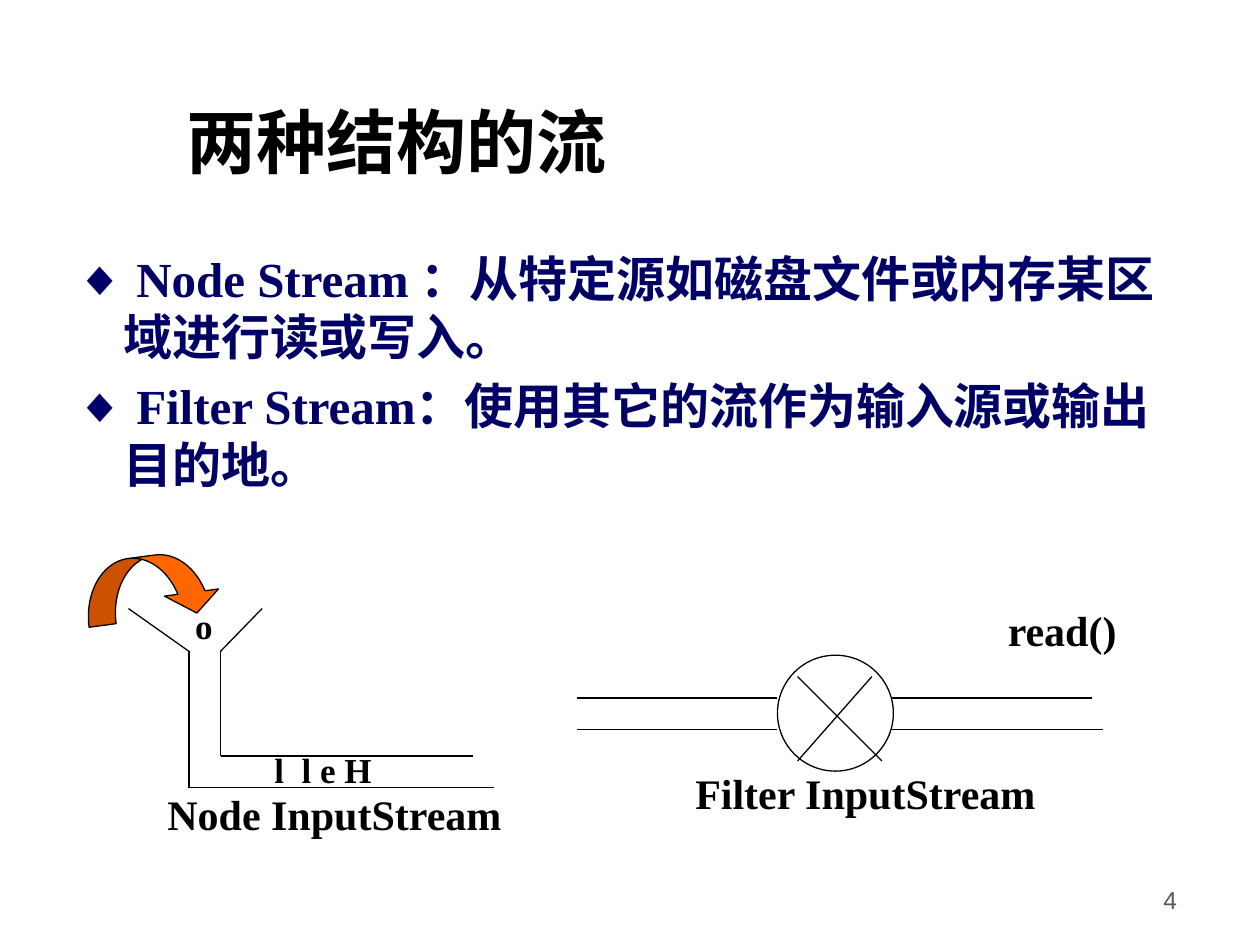
from lxml import etree
from pptx import Presentation
from pptx.dml.color import RGBColor
from pptx.enum.shapes import MSO_CONNECTOR, MSO_SHAPE
from pptx.enum.text import MSO_ANCHOR, MSO_AUTO_SIZE, PP_ALIGN
from pptx.oxml.ns import qn
from pptx.util import Inches, Pt

LINE = MSO_CONNECTOR.STRAIGHT
BEND, ROUND = MSO_SHAPE.CURVED_RIGHT_ARROW, MSO_SHAPE.OVAL
TOP, BASE = MSO_ANCHOR.TOP, MSO_ANCHOR.BOTTOM
LEFT, RIGHT = PP_ALIGN.LEFT, PP_ALIGN.RIGHT
FIXED = MSO_AUTO_SIZE.NONE

SERIF = "Times New Roman"
BLACK, NAVY, GREY = "000000", "000066", "5E574E"
ORANGE, WHITE = "FF6600", "FFFFFF"
HEAD = {"name": "Montserrat", "size": Pt(40), "bold": True}
BODY = {"name": SERIF, "size": Pt(28), "bold": True}
LABEL = {"name": SERIF, "size": Pt(24), "bold": True}
SMALL = {"name": SERIF, "size": Pt(20), "bold": True}
FOOT = {"name": "Arial", "size": Pt(14), "bold": False}


def color(code):
    """Turn a hex string into a colour."""
    return RGBColor.from_string(code)


def style(para, form, code):
    """Apply a dict of font values and a colour to a paragraph."""
    for key, value in form.items():
        setattr(para.font, key, value)
    para.font.color.rgb = color(code)


def place(shape, box):
    """Move and size a shape to a box given in inches."""
    for key, value in zip(("left", "top", "width", "height"), box):
        setattr(shape, key, Inches(value))


def write(shape, lines, form, code, wrap=True, anchor=TOP, align=LEFT):
    """Fill a shape with styled paragraphs."""
    frame = shape.text_frame
    values = {"text": "\n".join(lines), "word_wrap": wrap,
              "vertical_anchor": anchor, "auto_size": FIXED}
    for key, value in values.items():
        setattr(frame, key, value)
    for para in frame.paragraphs:
        para.alignment = align
        style(para, form, code)


def text(slide, box, lines, form, code=BLACK, **more):
    """Add a text box and return it."""
    shape = slide.shapes.add_textbox(*map(Inches, box))
    write(shape, lines, form, code, **more)
    return shape


def trace(slide, points):
    """Join points with thin straight lines."""
    for start, end in zip(points, points[1:]):
        line = slide.shapes.add_connector(LINE, *map(Inches, start + end))
        line.line.color.rgb = color(BLACK)
        line.line.width = Pt(0.75)
        etree.SubElement(line._element.spPr, qn("a:effectLst"))


def solid(slide, kind, box, code):
    """Add a filled preset shape with a thin outline."""
    shape = slide.shapes.add_shape(kind, *map(Inches, box))
    shape.shadow.inherit = False
    shape.fill.solid()
    shape.fill.fore_color.rgb = color(code)
    shape.line.color.rgb = color(BLACK)
    shape.line.width = Pt(0.75)
    return shape


def title(slide, box):
    """Place the slide title."""
    place(slide.shapes.title, box)
    write(slide.shapes.title, ["两种结构的流"], HEAD, BLACK, anchor=BASE)


def points(slide, box):
    """Add the two definitions with hanging indents."""
    lines = ["◆ Node Stream ：从特定源如磁盘文件或内存某区域进行读或写入。",
             "◆ Filter Stream：使用其它的流作为输入源或输出目的地。"]
    shape = text(slide, box, lines, BODY, NAVY)
    for para in shape.text_frame.paragraphs:
        props = para._p.get_or_add_pPr()
        props.set("marL", str(Inches(0.38)))
        props.set("indent", str(Inches(-0.38)))
    para.space_before = Pt(5.6)


def node(slide, box):
    """Draw the funnel pipe that takes in letters."""
    x, y, w, h = box
    mid, low = y + 0.34, y + h
    trace(slide, [(x, y), (x + 0.48, mid), (x + 0.48, low), (x + w, low)])
    trace(slide, [(x + 1.06, y), (x + 0.73, mid),
                  (x + 0.73, low - 0.25), (x + w - 0.17, low - 0.25)])
    arrow = solid(slide, BEND, (x - 0.06, y - 0.71, 0.5, 1.08), ORANGE)
    for spot, value in enumerate((0.433, 0.867, 0.333)):
        arrow.adjustments[spot] = value
    arrow.rotation = 262.5
    arrow._element.spPr.find(qn("a:xfrm")).set("flipH", "1")
    text(slide, (x + 1.06, low - 0.36, 0.98, 0.44), ["l  l e H"],
         SMALL, wrap=False)
    text(slide, (x + 0.43, y - 0.08, 0.34, 0.44), ["o"], SMALL, wrap=False)
    text(slide, (x + 0.21, low - 0.04, 2.86, 0.5), ["Node InputStream"],
         LABEL, wrap=False)


def sieve(slide, box):
    """Draw the pipe with a crossed circle as its filter."""
    x, y, w, h = box
    left, right = x + 1.59, x + 2.5
    for level, end in ((y + 0.34, x + w - 0.08), (y + 0.59, x + w)):
        trace(slide, [(x, level), (left, level)])
        trace(slide, [(right, level), (end, level)])
    solid(slide, ROUND, (left, y, h, h), WHITE)
    for start, end in ((0.16, 0.83), (0.75, 0.16)):
        trace(slide, [(left + start, y + 0.17), (left + end, y + 0.84)])
    text(slide, (x + 0.84, y + 0.84, 2.91, 0.5), ["Filter InputStream"],
         LABEL, wrap=False)
    text(slide, (x + 3.32, y - 0.45, 1.07, 0.5), ["read()"],
         LABEL, wrap=False)


def main():
    """Build the slide and save it."""
    deck = Presentation()
    deck.slide_width, deck.slide_height = Inches(10), Inches(7.5)
    slide = deck.slides.add_slide(deck.slide_layouts[5])
    title(slide, (1.38, 0.68, 4.88, 0.82))
    points(slide, (0.5, 1.92, 8.94, 4.88))
    node(slide, (1.02, 4.83, 2.9, 1.42))
    sieve(slide, (4.58, 5.2, 4.17, 0.92))
    text(slide, (7.36, 6.81, 2.08, 0.5), ["4"], FOOT, GREY,
         anchor=BASE, align=RIGHT)
    deck.save("out.pptx")


if __name__ == "__main__":
    main()
